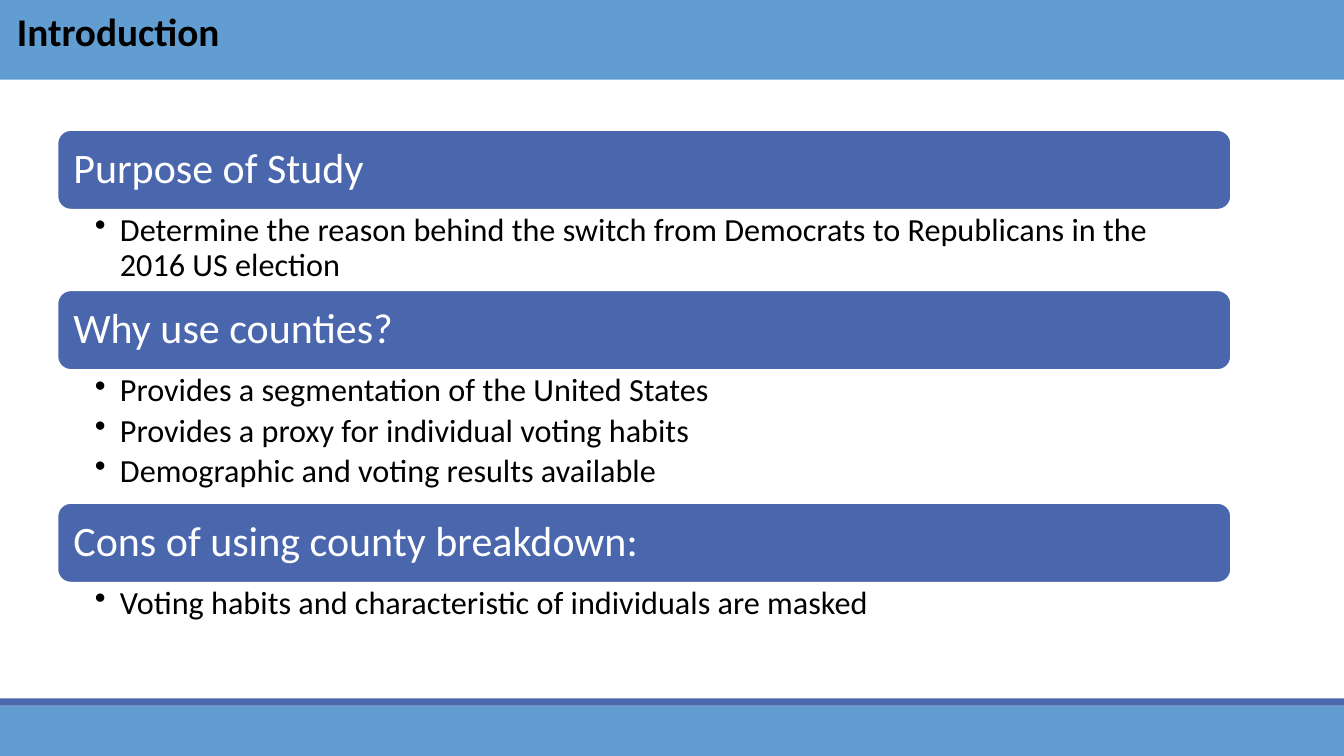
from dataclasses import dataclass

import pptx
import pptx.dml.color
import pptx.enum.shapes
import pptx.enum.text
import pptx.oxml
import pptx.oxml.ns
import pptx.shapes.autoshape
import pptx.slide
import pptx.text.text
import pptx.util

Inches = pptx.util.Inches
Pt = pptx.util.Pt
Kind = pptx.enum.shapes.MSO_SHAPE
Anchor = pptx.enum.text.MSO_ANCHOR

SKY, INDIGO, WHITE, BLACK = "629DD1", "4A66AC", "FFFFFF", "000000"
SECTION_LEFT, SECTION_WIDTH, SECTION_TOP = 0.57, 11.64, 1.29
HEADING_HEIGHT = 0.79


@dataclass(frozen=True)
class Band:
    left: float
    top: float
    width: float
    height: float
    color: str


@dataclass(frozen=True)
class Section:
    heading: str
    points: tuple[str, ...]
    points_height: float


BANDS = (
    Band(0, 7, 13.33, 0.5, SKY),
    Band(0, 6.93, 13.33, 0.07, INDIGO),
    Band(-0.01, -0.04, 13.34, 0.83, SKY),
)
TITLE = Band(0.07, 0.08, 11.5, 0.56, SKY)
SECTIONS = (
    Section("Purpose of Study", (
        "Determine the reason behind the switch from Democrats to Republicans in the 2016 US election",
    ), 0.8),
    Section("Why use counties?", (
        "Provides a segmentation of the United States",
        "Provides a proxy for individual voting habits",
        "Demographic and voting results available",
    ), 1.32),
    Section("Cons of using county breakdown:", (
        "Voting habits and characteristic of individuals are masked",
    ), 0.54),
)


def rgb(color: str) -> pptx.dml.color.RGBColor:
    return pptx.dml.color.RGBColor.from_string(color)


def add_band(slide: pptx.slide.Slide, band: Band,
             kind: Kind = Kind.RECTANGLE) -> pptx.shapes.autoshape.Shape:
    shape = slide.shapes.add_shape(
        kind, Inches(band.left), Inches(band.top), Inches(band.width), Inches(band.height))
    shape.shadow.inherit = False
    shape.fill.solid()
    shape.fill.fore_color.rgb = rgb(band.color)
    shape.line.fill.background()
    return shape


def set_frame(frame: pptx.text.text.TextFrame, anchor: Anchor,
              left: float, top: float, right: float, bottom: float) -> None:
    frame.word_wrap = True
    frame.vertical_anchor = anchor
    frame.margin_left, frame.margin_top = Inches(left), Inches(top)
    frame.margin_right, frame.margin_bottom = Inches(right), Inches(bottom)


def write(paragraph: pptx.text.text._Paragraph, text: str, size: float,
          color: str, bold: bool = False) -> None:
    paragraph.text = text
    paragraph.alignment = pptx.enum.text.PP_ALIGN.LEFT
    paragraph.line_spacing = 0.9
    paragraph.font.name = "Calibri"
    paragraph.font.size = Pt(size)
    paragraph.font.bold = bold
    paragraph.font.color.rgb = rgb(color)


def add_bullet(paragraph: pptx.text.text._Paragraph) -> None:
    properties = paragraph._p.get_or_add_pPr()
    properties.set("marL", str(Inches(0.25)))
    properties.set("indent", str(Inches(-0.25)))
    properties.append(pptx.oxml.parse_xml(
        f'<a:buChar {pptx.oxml.ns.nsdecls("a")} char="•"/>'))


def add_section(slide: pptx.slide.Slide, section: Section, top: float) -> float:
    """Draw a heading bar with its points and return the bottom edge."""
    bar = add_band(slide, Band(SECTION_LEFT, top, SECTION_WIDTH, HEADING_HEIGHT, INDIGO),
                   Kind.ROUNDED_RECTANGLE)
    bar.line.color.rgb = rgb(WHITE)
    bar.line.width = Pt(1.25)
    set_frame(bar.text_frame, Anchor.MIDDLE, 0.12, 0.12, 0.12, 0.12)
    write(bar.text_frame.paragraphs[0], section.heading, 30, WHITE)

    points_top = top + HEADING_HEIGHT
    points = slide.shapes.add_textbox(
        Inches(SECTION_LEFT), Inches(points_top),
        Inches(SECTION_WIDTH), Inches(section.points_height)).text_frame
    set_frame(points, Anchor.TOP, 0.37, 0.04, 0.23, 0.04)
    for index, point in enumerate(section.points):
        paragraph = points.add_paragraph() if index else points.paragraphs[0]
        write(paragraph, point, 23, BLACK)
        paragraph.level = 1
        paragraph.space_after = Pt(4)
        add_bullet(paragraph)
    return points_top + section.points_height


def main() -> None:
    presentation = pptx.Presentation()
    presentation.slide_width, presentation.slide_height = Inches(13.33), Inches(7.5)
    slide = presentation.slides.add_slide(presentation.slide_layouts[6])

    # Header and footer bands
    for band in BANDS:
        add_band(slide, band)

    # Title
    title = add_band(slide, TITLE).text_frame
    set_frame(title, Anchor.TOP, 0.1, 0.05, 0.1, 0.05)
    write(title.paragraphs[0], "Introduction", 28, BLACK, bold=True)

    # Stacked sections
    top = SECTION_TOP
    for section in SECTIONS:
        top = add_section(slide, section, top)

    presentation.save("out.pptx")


if __name__ == "__main__":
    main()
